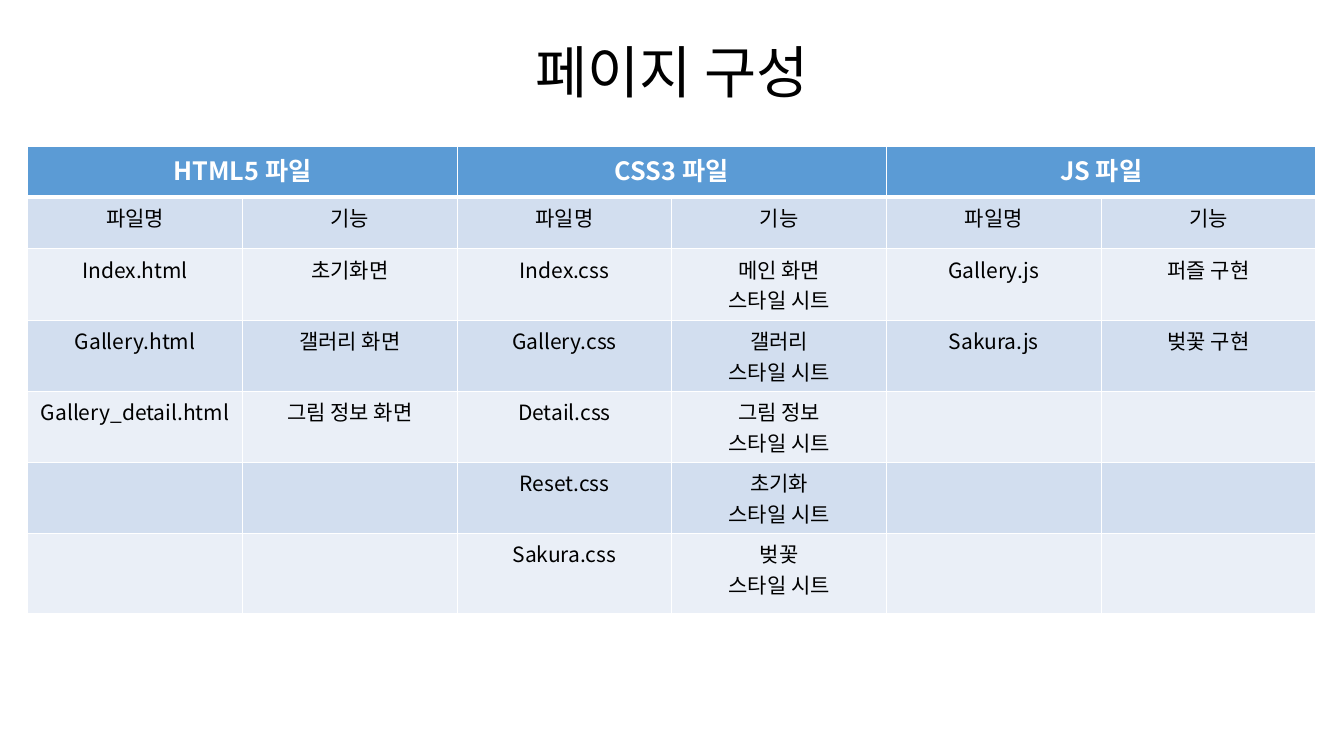
from lxml import etree
from pptx import Presentation
from pptx.dml.color import RGBColor
from pptx.enum.text import MSO_ANCHOR, PP_ALIGN
from pptx.oxml.ns import qn
from pptx.util import Cm, Pt

CENTER = PP_ALIGN.CENTER
BOTTOM = MSO_ANCHOR.BOTTOM

FONT = "Noto Sans CJK KR"
BLACK = RGBColor(0x00, 0x00, 0x00)
WHITE = RGBColor(0xFF, 0xFF, 0xFF)
BLUE = RGBColor(0x5B, 0x9B, 0xD5)
BANDS = (RGBColor(0xD2, 0xDE, 0xEF), RGBColor(0xEA, 0xEF, 0xF7))

COL_WIDTH = 5.41
ROW_HEIGHTS = (1.28, 1.3, 1.8, 1.79, 1.79, 1.79, 2.03)
GROUPS = ("HTML5 파일", "CSS3 파일", "JS 파일")
ROWS = (
    ("파일명", "기능") * len(GROUPS),
    ("Index.html", "초기화면", "Index.css", "메인 화면\n스타일 시트", "Gallery.js", "퍼즐 구현"),
    ("Gallery.html", "갤러리 화면", "Gallery.css", "갤러리\n스타일 시트", "Sakura.js", "벚꽃 구현"),
    ("Gallery_detail.html", "그림 정보 화면", "Detail.css", "그림 정보\n스타일 시트", "", ""),
    ("", "", "Reset.css", "초기화\n스타일 시트", "", ""),
    ("", "", "Sakura.css", "벚꽃\n스타일 시트", "", ""),
)


class SlideBuilder:
    """Adds consistently styled elements to one slide."""

    def __init__(self, slide, font):
        self.slide = slide
        self.font = font

    def add_text(self, tf, text, size, color, bold=False, spacing=None):
        for i, line in enumerate(text.split("\n")):
            p = tf.add_paragraph() if i else tf.paragraphs[0]
            p.alignment = CENTER
            if spacing:
                p.line_spacing = spacing
            if not line:
                continue
            r = p.add_run()
            r.text = line
            r.font.size = Pt(size)
            r.font.bold = bold
            r.font.name = self.font
            r.font.color.rgb = color
            ea = etree.SubElement(r._r.get_or_add_rPr(), qn("a:ea"))
            ea.set("typeface", self.font)

    def title(self, text, left, top, width, height):
        sp = self.slide.shapes.add_textbox(Cm(left), Cm(top), Cm(width), Cm(height))
        tf = sp.text_frame
        tf.word_wrap = True
        tf.vertical_anchor = BOTTOM
        tf.margin_top = tf.margin_bottom = 0
        self.add_text(tf, text, 40.5, BLACK, spacing=0.7)

    def borders(self, cell, top=1, bottom=1):
        tc_pr = cell._tc.get_or_add_tcPr()
        sides = (("L", 1), ("R", 1), ("T", top), ("B", bottom))
        for i, (side, width) in enumerate(sides):
            ln = etree.Element(qn(f"a:ln{side}"), w=str(Pt(width)))
            fill = etree.SubElement(ln, qn("a:solidFill"))
            etree.SubElement(fill, qn("a:srgbClr"), val=str(WHITE))
            tc_pr.insert(i, ln)

    def cell(self, cell, text, size, color, fill, bold=False, top=1, bottom=1):
        cell.fill.solid()
        cell.fill.fore_color.rgb = fill
        self.borders(cell, top, bottom)
        self.add_text(cell.text_frame, text, size, color, bold)

    def file_table(self, left, top):
        n_cols = 2 * len(GROUPS)
        frame = self.slide.shapes.add_table(
            len(ROW_HEIGHTS), n_cols, Cm(left), Cm(top),
            Cm(COL_WIDTH * n_cols), Cm(sum(ROW_HEIGHTS)))
        table = frame.table
        table.horz_banding = False
        for col in table.columns:
            col.width = Cm(COL_WIDTH)
        for row, height in zip(table.rows, ROW_HEIGHTS):
            row.height = Cm(height)
        for i, group in enumerate(GROUPS):
            first, second = table.cell(0, 2 * i), table.cell(0, 2 * i + 1)
            first.merge(second)
            self.cell(first, group, 18, WHITE, BLUE, bold=True, bottom=3)
            self.cell(second, "", 18, WHITE, BLUE, bottom=3)
        for i, row in enumerate(ROWS):
            for j, text in enumerate(row):
                self.cell(table.cell(i + 1, j), text, 15, BLACK,
                          BANDS[i % 2], top=1 if i else 3)


def main():
    prs = Presentation()
    prs.slide_width, prs.slide_height = Cm(33.87), Cm(19.05)
    s = SlideBuilder(prs.slides.add_slide(prs.slide_layouts[6]), FONT)
    s.file_table(0.7, 3.69)
    s.title("페이지 구성", 2.33, 1.02, 29.21, 1.57)
    prs.save("out.pptx")


if __name__ == "__main__":
    main()
